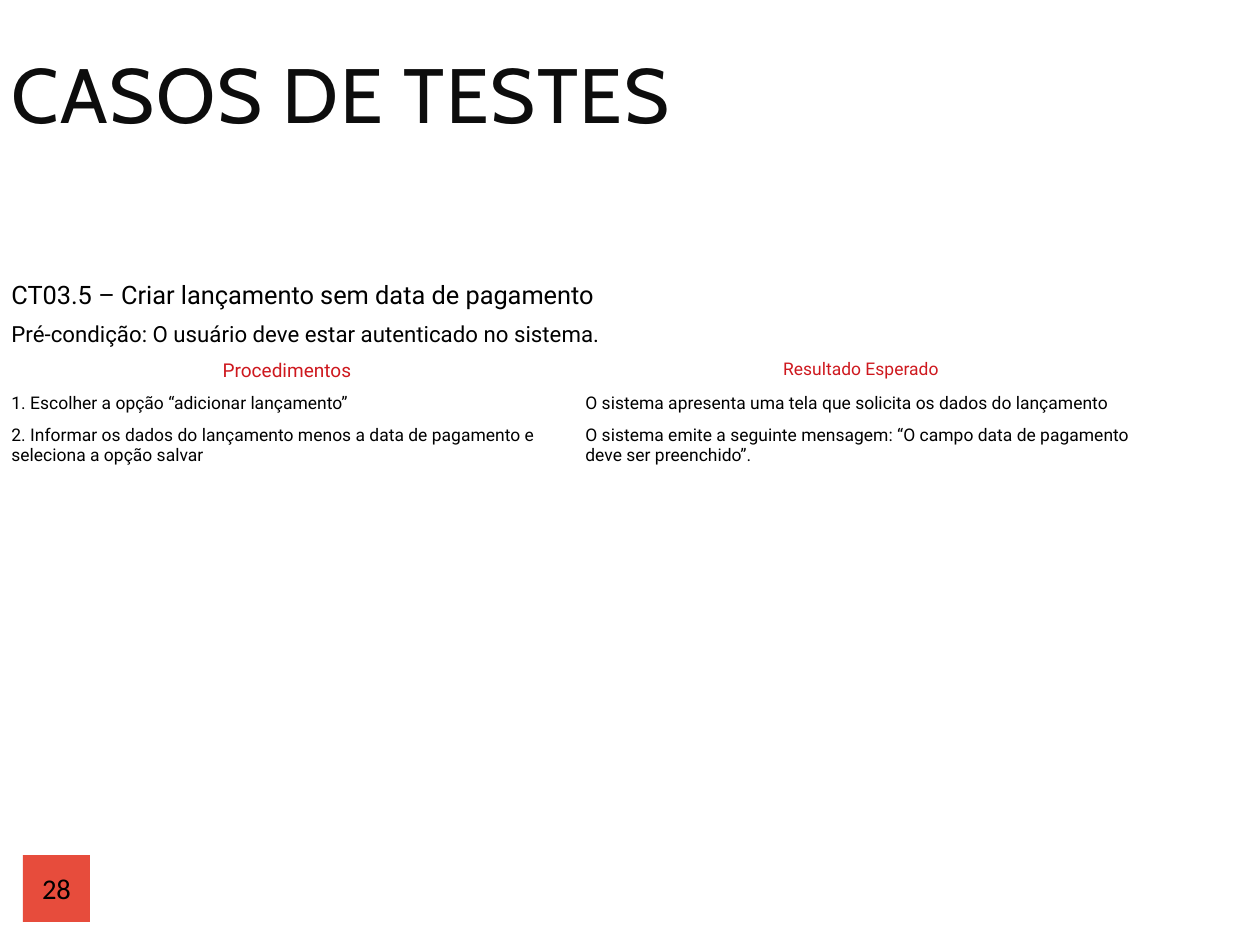
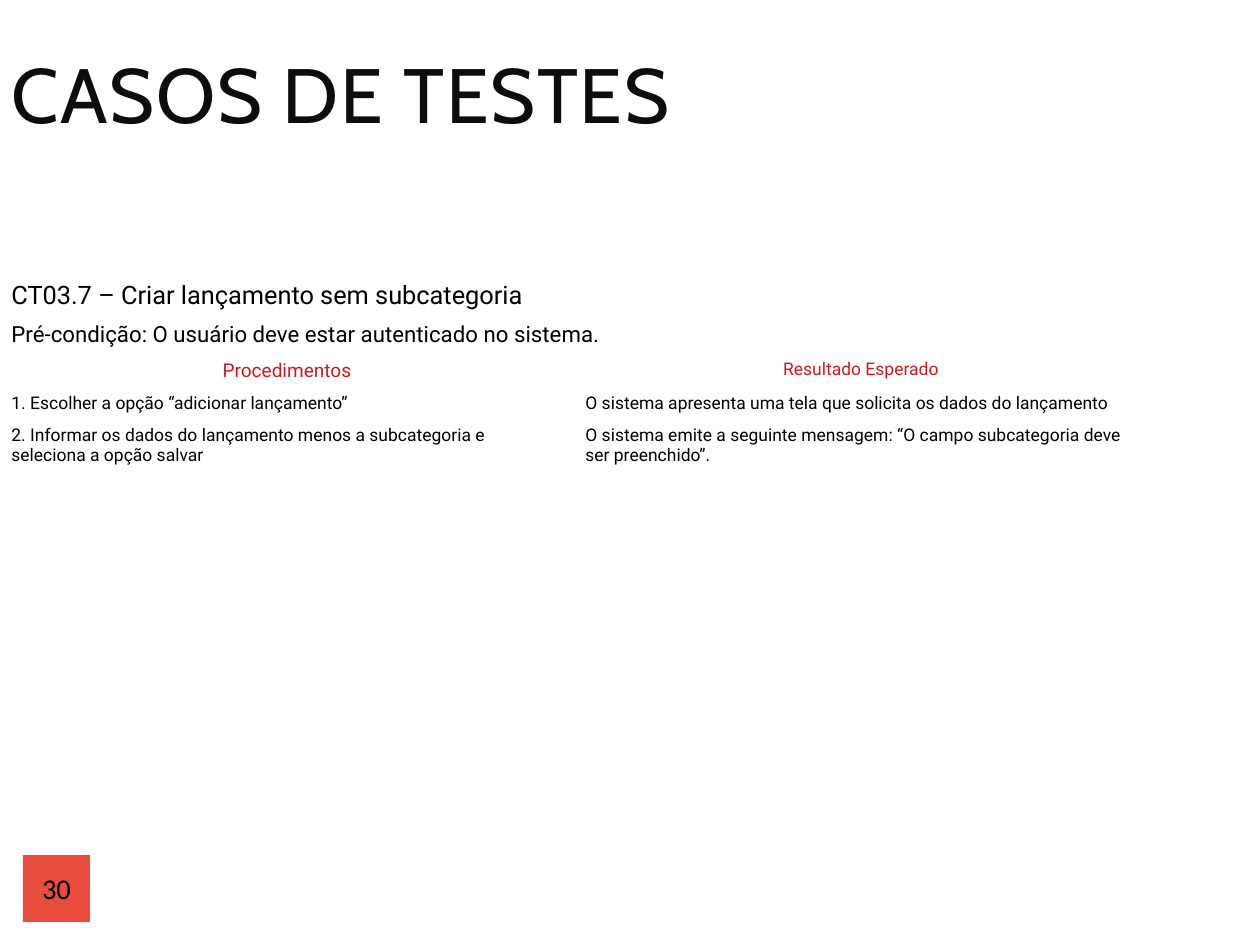
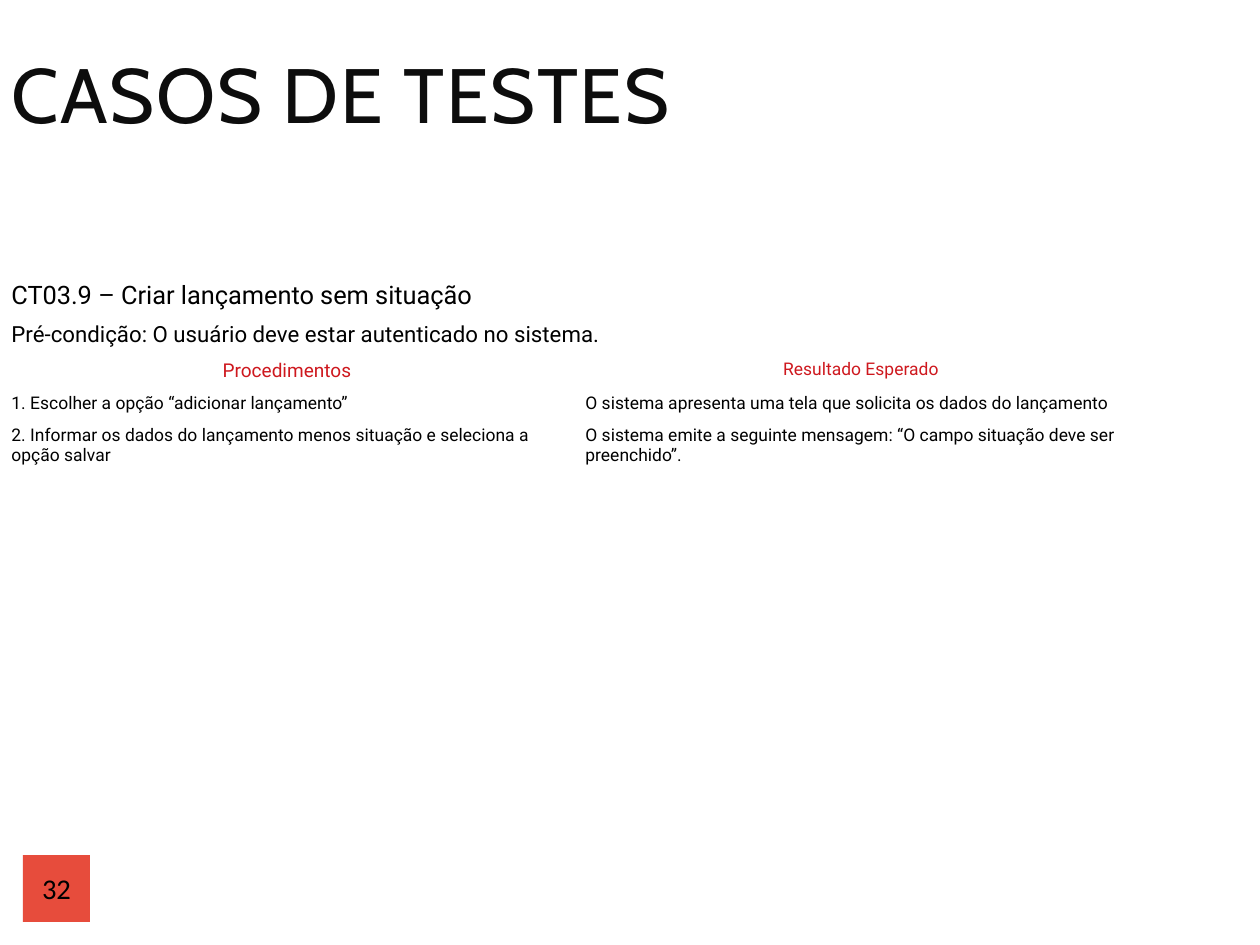
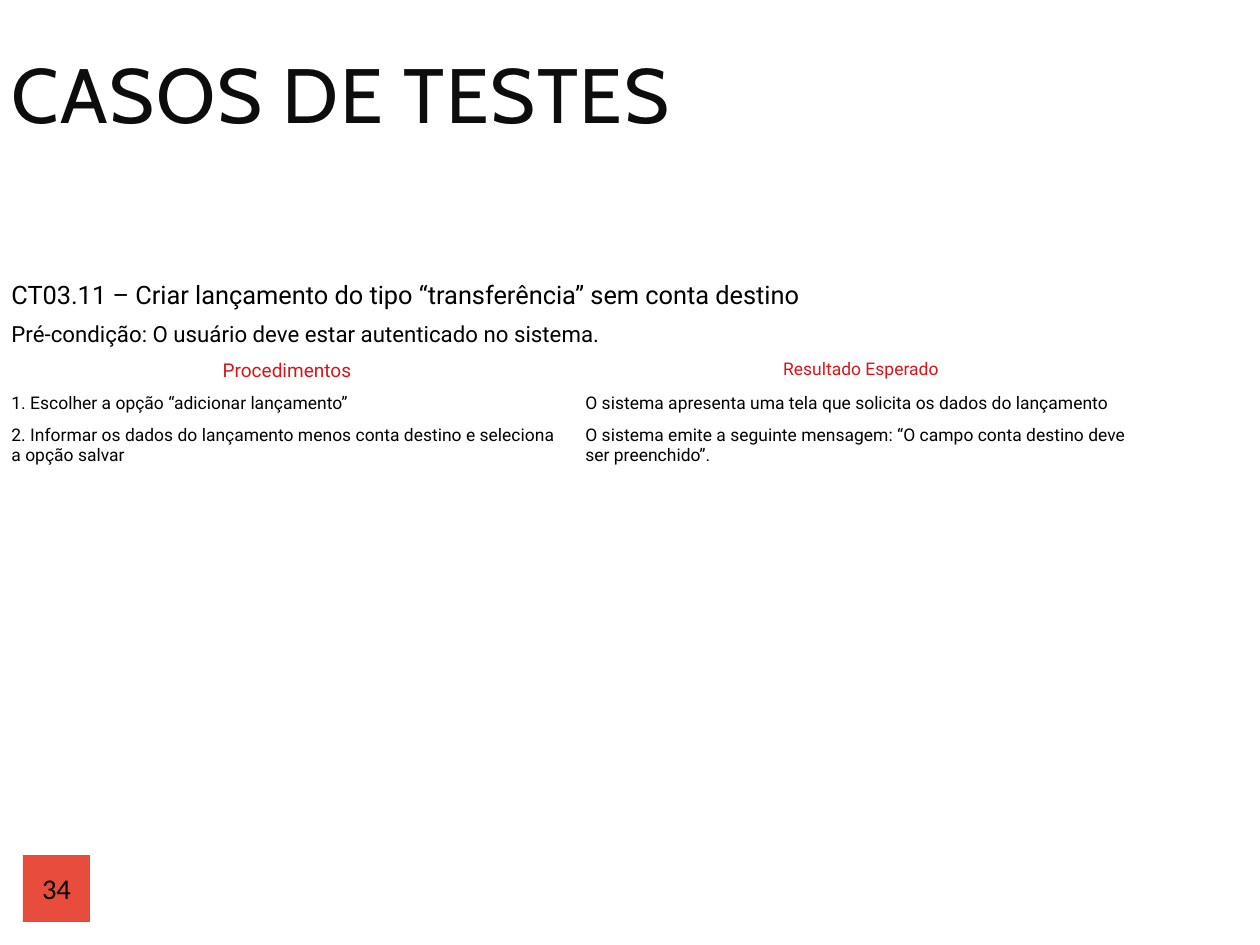
from dataclasses import dataclass

from pptx import Presentation
from pptx.dml.color import RGBColor
from pptx.enum.shapes import MSO_SHAPE
from pptx.enum.text import MSO_ANCHOR, MSO_AUTO_SIZE, PP_ALIGN
from pptx.util import Emu, Pt


@dataclass(frozen=True)
class Theme:
    title_font: str = "Cabin"
    table_font: str = "Roboto"
    badge_font: str = "Calibri"
    black: str = "000000"
    title_color: str = "0D0D0D"
    heading_color: str = "CE181E"
    badge_color: str = "E74C3C"
    title_size: float = 48.5
    badge_size: int = 18
    case_size: int = 16
    condition_size: int = 14
    heading_size: int = 12
    text_size: int = 11


@dataclass(frozen=True)
class Case:
    page: int
    name: str
    omitted: str  # as worded in the procedure
    field: str  # as worded in the message


THEME = Theme()
TITLE_ONLY = 5
SLIDE_W, SLIDE_H = 1260, 945
TITLE_BOX = (0, 45, 1170, 112)
BADGE_BOX = (23, 855, 67, 67)
TABLE_LEFT, TABLE_TOP, COL_W = 0, 275, 574
ROW_HEIGHTS = (41, 37, 33, 31, 50)

CASES = (
    Case(28, "CT03.5 – Criar lançamento sem data de pagamento",
         "a data de pagamento", "data de pagamento"),
    Case(30, "CT03.7 – Criar lançamento sem subcategoria",
         "a subcategoria", "subcategoria"),
    Case(32, "CT03.9 – Criar lançamento sem situação",
         "situação", "situação"),
    Case(34, "CT03.11 – Criar lançamento do tipo “transferência” sem conta destino",
         "conta destino", "conta destino"),
)


def px(n):
    return Emu(n * 8000)


def write(tf, text, *, size, font=THEME.table_font, color=THEME.black,
          align=PP_ALIGN.LEFT, line_spacing=None, tracking=None):
    """Put one formatted paragraph into a text frame."""
    p = tf.paragraphs[0]
    p.alignment = align
    if line_spacing:
        p.line_spacing = line_spacing
    r = p.add_run()
    r.text = text
    r.font.size = Pt(size)
    r.font.name = font
    r.font.color.rgb = RGBColor.from_string(color)
    if tracking:
        r.font._element.set("spc", str(tracking))  # hundredths of a point


def set_title(slide, text):
    sp = slide.shapes.title
    sp.left, sp.top, sp.width, sp.height = map(px, TITLE_BOX)
    tf = sp.text_frame
    tf.auto_size = MSO_AUTO_SIZE.NONE
    tf.vertical_anchor = MSO_ANCHOR.MIDDLE
    write(tf, text, size=THEME.title_size, font=THEME.title_font,
          color=THEME.title_color, line_spacing=0.8, tracking=110)


def add_page_badge(slide, page):
    sp = slide.shapes.add_shape(MSO_SHAPE.RECTANGLE, *map(px, BADGE_BOX))
    sp.shadow.inherit = False
    sp.fill.solid()
    sp.fill.fore_color.rgb = RGBColor.from_string(THEME.badge_color)
    sp.line.fill.background()
    tf = sp.text_frame
    tf.margin_left = tf.margin_right = tf.margin_top = tf.margin_bottom = 0
    tf.vertical_anchor = MSO_ANCHOR.MIDDLE
    write(tf, str(page), size=THEME.badge_size, font=THEME.badge_font,
          align=PP_ALIGN.CENTER)


def add_case_table(slide, case):
    heading = dict(color=THEME.heading_color, align=PP_ALIGN.CENTER)
    body = dict(size=THEME.text_size)
    # Each row lists its cells; a single cell spans both columns
    rows = (
        [(case.name, dict(size=THEME.case_size))],
        [("Pré-condição: O usuário deve estar autenticado no sistema.",
          dict(size=THEME.condition_size))],
        [("Procedimentos", dict(heading, size=THEME.heading_size)),
         ("Resultado Esperado", dict(heading, size=THEME.text_size))],
        [("1. Escolher a opção “adicionar lançamento”", body),
         ("O sistema apresenta uma tela que solicita os dados do lançamento", body)],
        [(f"2. Informar os dados do lançamento menos {case.omitted} "
          "e seleciona a opção salvar", body),
         (f"O sistema emite a seguinte mensagem: “O campo {case.field} "
          "deve ser preenchido”.", body)],
    )
    table = slide.shapes.add_table(
        len(rows), 2, px(TABLE_LEFT), px(TABLE_TOP),
        px(2 * COL_W), px(sum(ROW_HEIGHTS))).table
    table.first_row = table.horz_banding = False
    for col in table.columns:
        col.width = px(COL_W)
    for i, (height, cells) in enumerate(zip(ROW_HEIGHTS, rows)):
        table.rows[i].height = px(height)
        for cell in table.rows[i].cells:
            cell.fill.background()
        if len(cells) == 1:
            table.cell(i, 0).merge(table.cell(i, 1))
        for j, (text, fmt) in enumerate(cells):
            write(table.cell(i, j).text_frame, text, **fmt)


def main():
    prs = Presentation()
    prs.slide_width, prs.slide_height = px(SLIDE_W), px(SLIDE_H)
    for case in CASES:
        slide = prs.slides.add_slide(prs.slide_layouts[TITLE_ONLY])
        add_page_badge(slide, case.page)
        set_title(slide, "CASOS DE TESTES")
        add_case_table(slide, case)
    prs.save("out.pptx")


if __name__ == "__main__":
    main()
